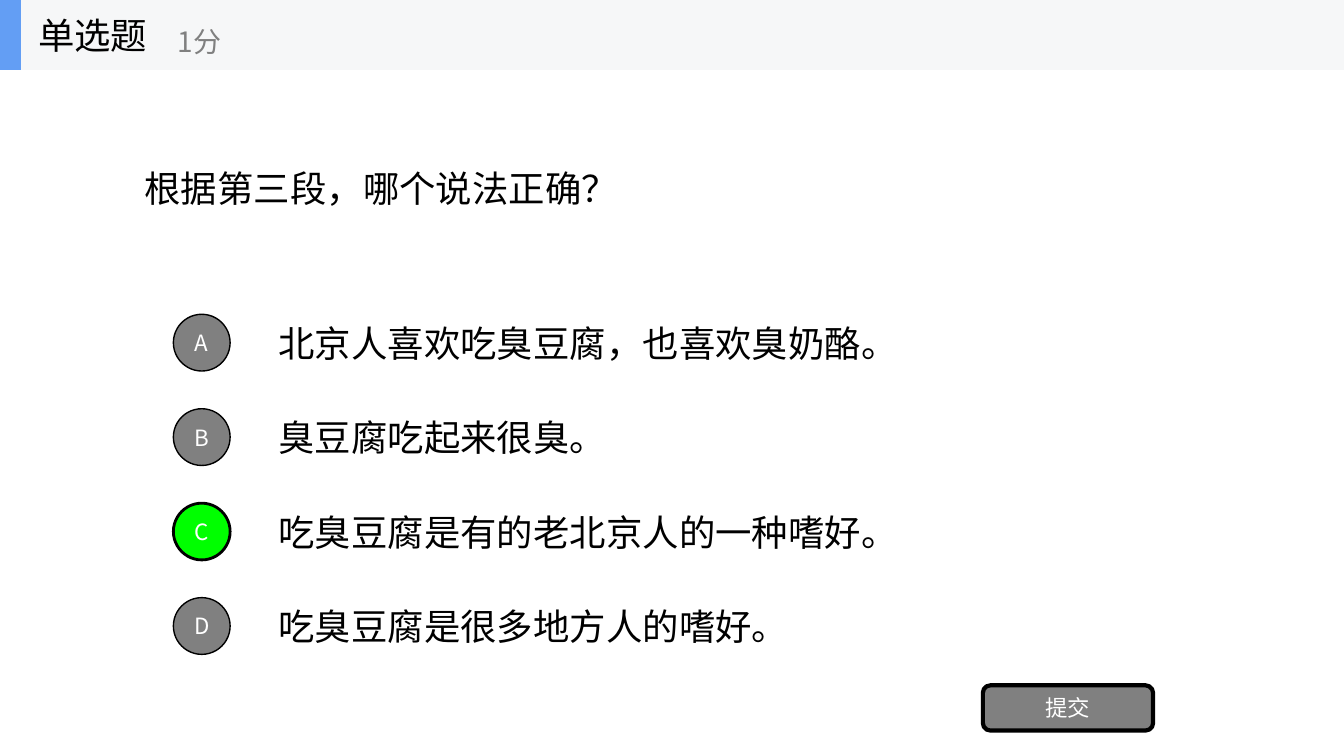
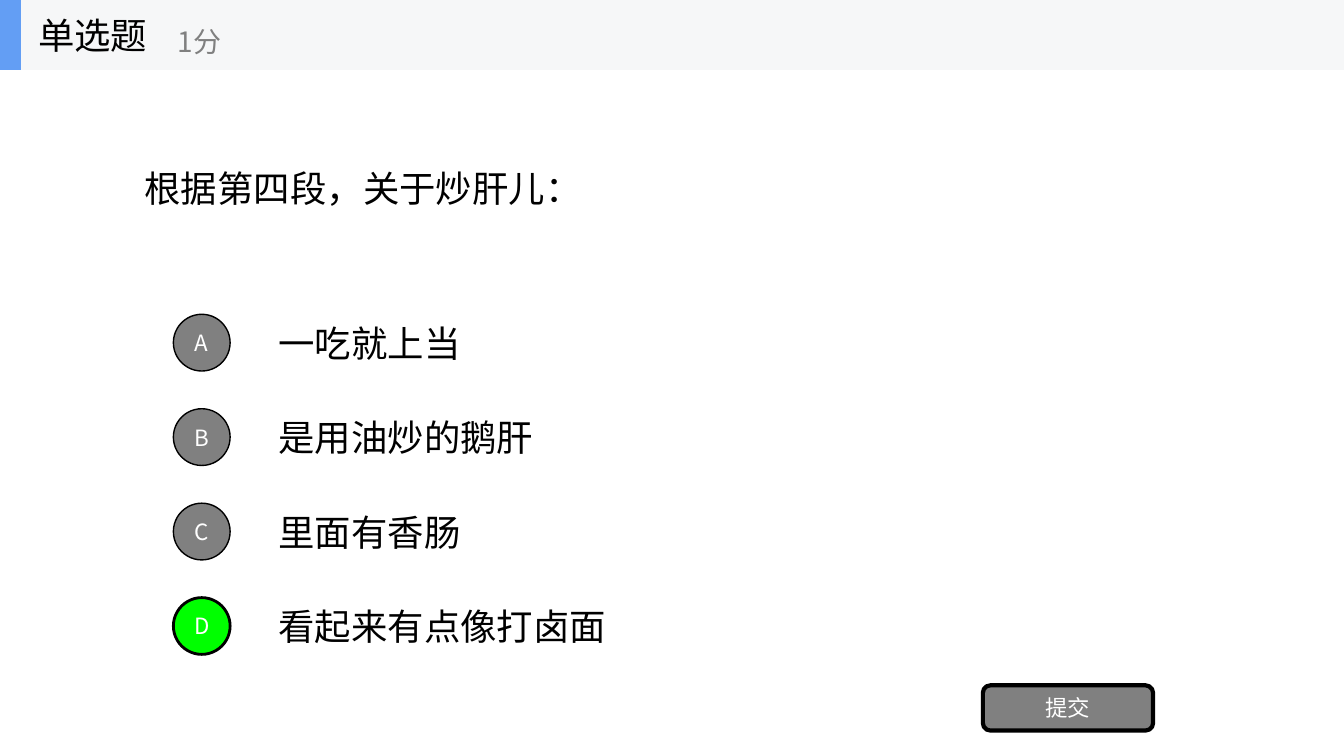
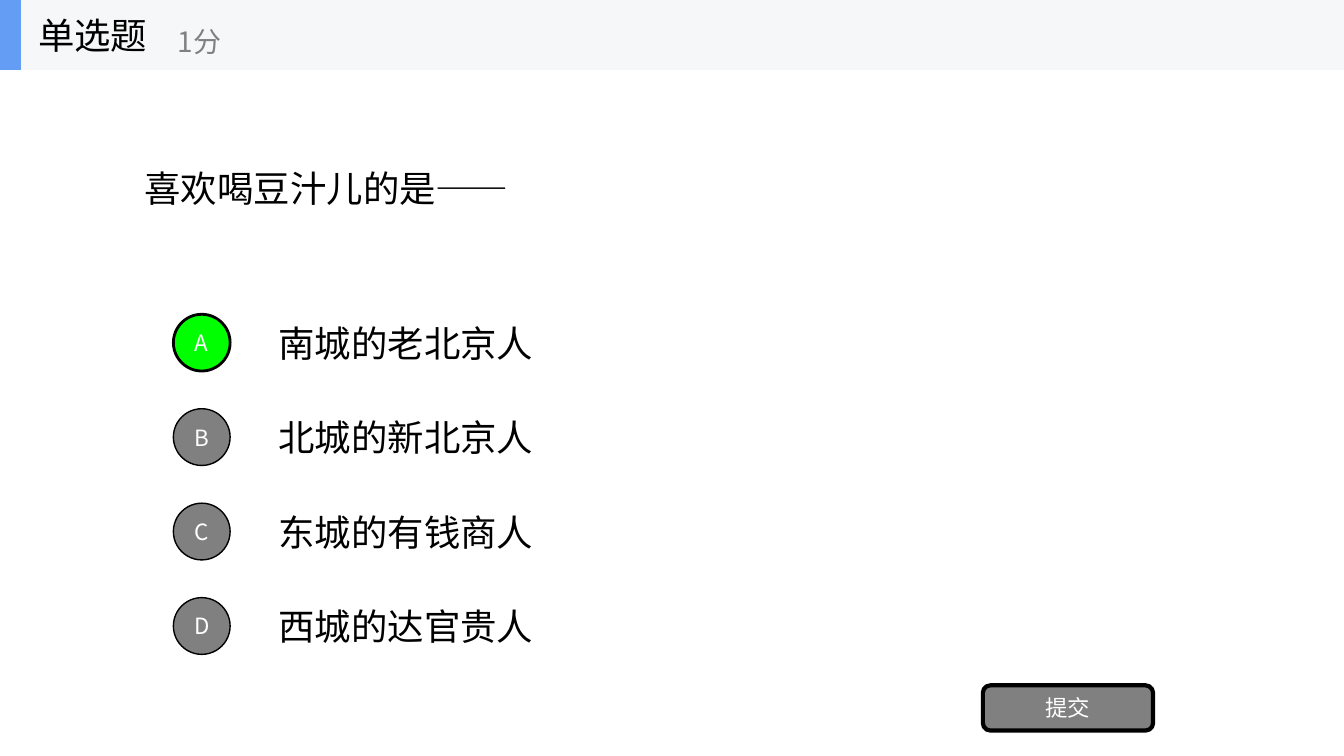
from lxml import etree
from pptx import Presentation
from pptx.dml.color import RGBColor
from pptx.enum import shapes, text
from pptx.oxml import ns
from pptx.util import Cm, Pt

FONT = "Noto Sans CJK SC"
BLACK = RGBColor(0x00, 0x00, 0x00)
WHITE = RGBColor(0xFF, 0xFF, 0xFF)
GREY = RGBColor(0x80, 0x80, 0x80)
GREEN = RGBColor(0x00, 0xFF, 0x00)
BLUE = RGBColor(0x63, 0x9E, 0xF4)
BAND = RGBColor(0xF6, 0xF7, 0xF8)

SLIDE_W, SLIDE_H = 33.87, 19.05
BAND_H = 1.76
QUESTION_BOX = (3.39, BAND_H, 27.09, 5.95)
OPTIONS_BOX = (4.37, 7.74, 26.11, 9.52)
SUBMIT_BOX = (24.77, 17.27, 4.29, 1.14)

QUESTIONS = [
    ("根据第三段，哪个说法正确？", "C", [
        "北京人喜欢吃臭豆腐，也喜欢臭奶酪。",
        "臭豆腐吃起来很臭。",
        "吃臭豆腐是有的老北京人的一种嗜好。",
        "吃臭豆腐是很多地方人的嗜好。",
    ]),
    ("根据第四段，关于炒肝儿：", "D", [
        "一吃就上当",
        "是用油炒的鹅肝",
        "里面有香肠",
        "看起来有点像打卤面",
    ]),
    ("喜欢喝豆汁儿的是——", "A", [
        "南城的老北京人",
        "北城的新北京人",
        "东城的有钱商人",
        "西城的达官贵人",
    ]),
]


def lengths(box):
    """Turn a box in centimetres into lengths."""
    return [Cm(v) for v in box]


def write(sp, words, size=26, color=BLACK, align=text.PP_ALIGN.LEFT):
    """Fill a shape with one formatted, vertically centred paragraph."""
    tf = sp.text_frame
    tf.word_wrap = True
    tf.auto_size = text.MSO_AUTO_SIZE.NONE
    tf.vertical_anchor = text.MSO_ANCHOR.MIDDLE
    p = tf.paragraphs[0]
    p.alignment = align
    r = p.add_run()
    r.text = words
    r.font.size = Pt(size)
    r.font.color.rgb = color
    r.font.name = FONT
    ea = etree.SubElement(r.font._element, ns.qn("a:ea"))
    ea.set("typeface", FONT)


def add_text(parent, box, words, **fmt):
    """Add a text box."""
    write(parent.add_textbox(*lengths(box)), words, **fmt)


def add_block(parent, kind, box, fill, line=0, label=None):
    """Add a filled shape with an optional outline and label."""
    sp = parent.add_shape(kind, *lengths(box))
    sp.shadow.inherit = False
    sp.fill.solid()
    sp.fill.fore_color.rgb = fill
    if line:
        sp.line.color.rgb = BLACK
        sp.line.width = Pt(line)
    else:
        sp.line.fill.background()
    if label:
        tf = sp.text_frame
        tf.margin_left = tf.margin_right = tf.margin_top = tf.margin_bottom = 0
        write(sp, label, size=16, color=WHITE, align=text.PP_ALIGN.CENTER)


def add_header(s):
    """Add the grouped band with question type and score."""
    group = s.shapes.add_group_shape().shapes
    rect = shapes.MSO_SHAPE.RECTANGLE
    add_block(group, rect, (0, 0, SLIDE_W, BAND_H), BAND)
    add_block(group, rect, (0, 0, 0.53, BAND_H), BLUE)
    add_text(group, (0.71, 0, 5.28, BAND_H), "单选题")
    add_text(group, (4.23, 0.32, 6.35, 1.42), "1分", size=20, color=GREY)


def add_options(s, box, options, answer):
    """Add lettered options in equal rows, marking the answer."""
    left, top, width, height = box
    pitch = height / len(options)
    row_h, circle, indent = 1.79, 1.43, 2.4
    for i, (letter, words) in enumerate(zip("ABCD", options)):
        y = top + i * pitch
        right = letter == answer
        add_text(s.shapes, (left + indent, y, width - indent, row_h), words)
        add_block(s.shapes, shapes.MSO_SHAPE.OVAL,
                  (left, y + (row_h - circle) / 2, circle, circle),
                  GREEN if right else GREY, line=2 if right else 1, label=letter)


def add_question(prs, question, answer, options):
    """Add one single-choice slide."""
    s = prs.slides.add_slide(prs.slide_layouts[5])
    title = s.shapes.title
    title.left, title.top, title.width, title.height = lengths(QUESTION_BOX)
    write(title, question)
    add_options(s, OPTIONS_BOX, options, answer)
    add_block(s.shapes, shapes.MSO_SHAPE.ROUNDED_RECTANGLE, SUBMIT_BOX,
              GREY, line=3, label="提交")
    add_header(s)


def main():
    """Build the quiz and save it."""
    prs = Presentation()
    prs.slide_width, prs.slide_height = Cm(SLIDE_W), Cm(SLIDE_H)
    for question, answer, options in QUESTIONS:
        add_question(prs, question, answer, options)
    prs.save("out.pptx")


if __name__ == "__main__":
    main()
